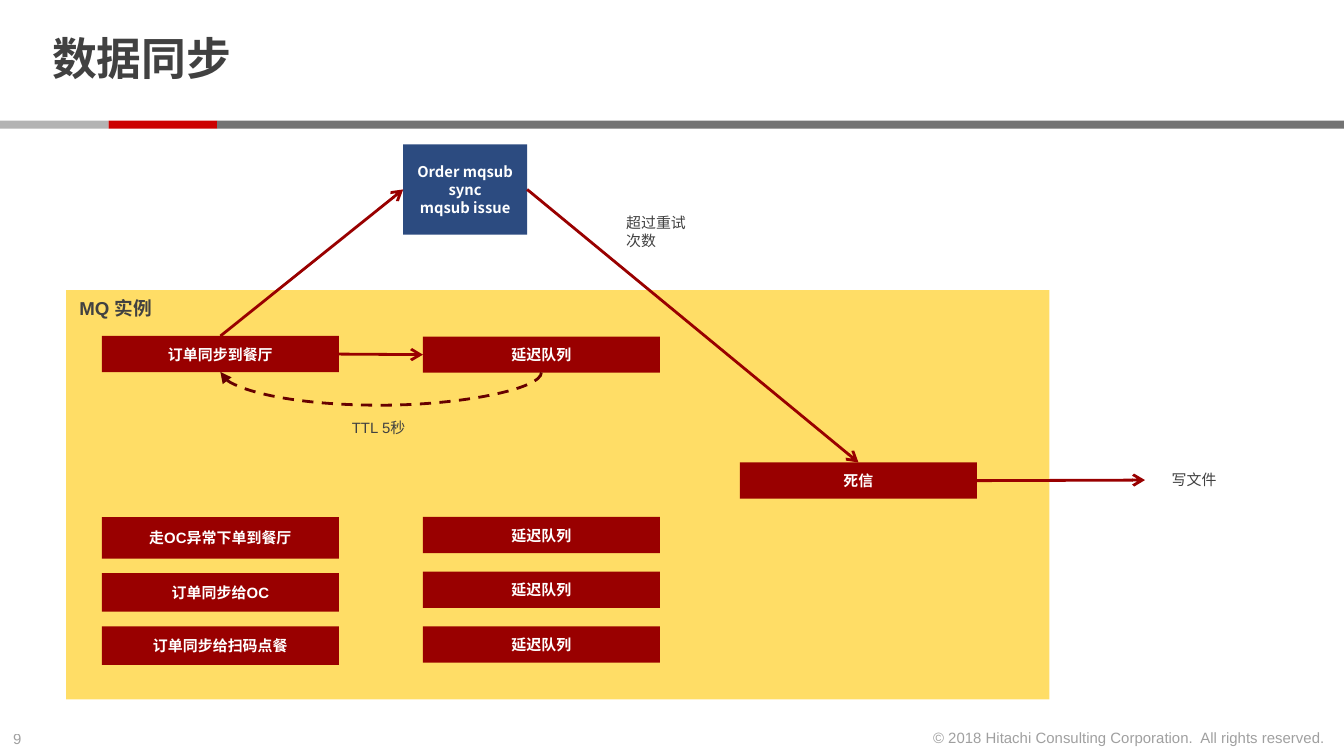
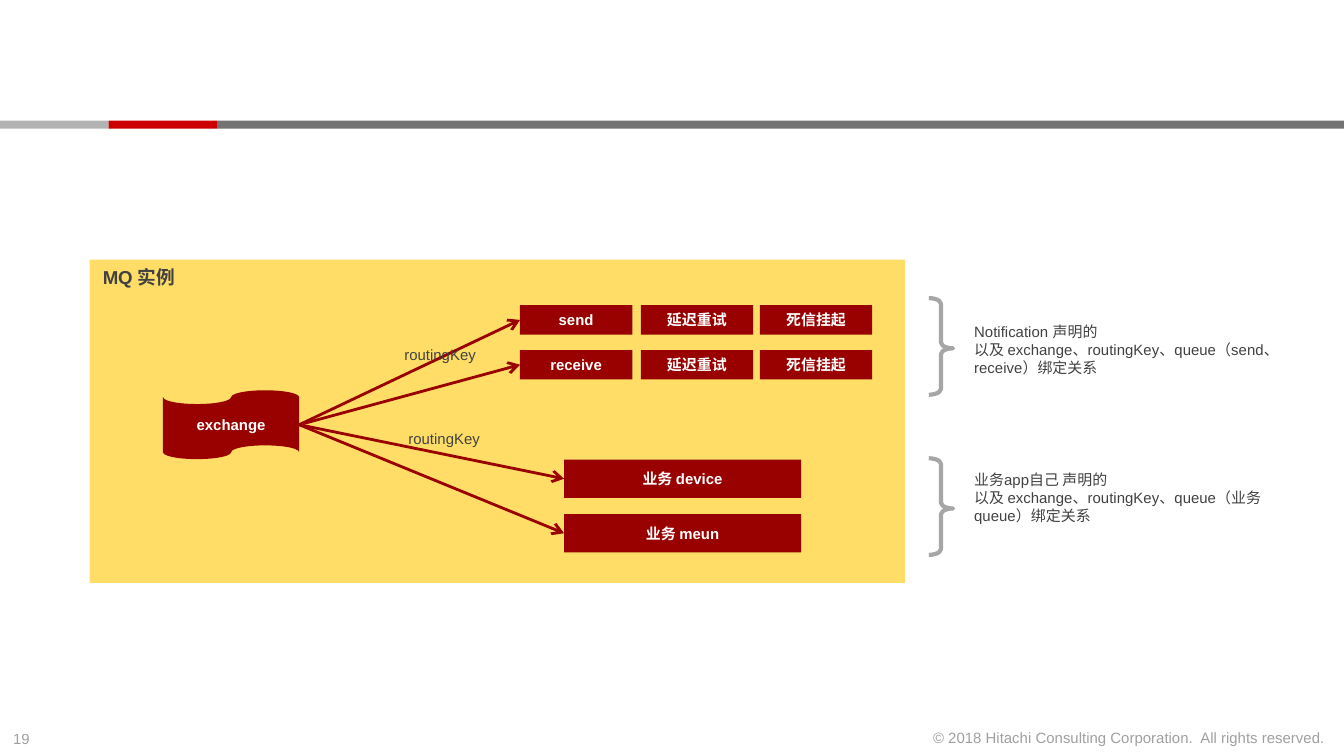
from lxml import etree
from pptx import Presentation
from pptx.dml.color import RGBColor
from pptx.enum.dml import MSO_LINE
from pptx.enum.shapes import MSO_CONNECTOR, MSO_SHAPE
from pptx.enum.text import MSO_ANCHOR, MSO_AUTO_SIZE, PP_ALIGN
from pptx.oxml.ns import qn
from pptx.util import Pt

RECTANGLE = MSO_SHAPE.RECTANGLE
TAPE = MSO_SHAPE.FLOWCHART_PUNCHED_TAPE
BRACE = MSO_SHAPE.RIGHT_BRACE
STRAIGHT, CURVE = MSO_CONNECTOR.STRAIGHT, MSO_CONNECTOR.CURVE
DASH = MSO_LINE.DASH
TOP, MIDDLE = MSO_ANCHOR.TOP, MSO_ANCHOR.MIDDLE
LEFT, CENTER, RIGHT = PP_ALIGN.LEFT, PP_ALIGN.CENTER, PP_ALIGN.RIGHT
FIT_SHAPE = MSO_AUTO_SIZE.SHAPE_TO_FIT_TEXT
TOP_SIDE, LEFT_SIDE, BOTTOM_SIDE, RIGHT_SIDE = range(4)

LATIN, CHINESE = "Arial", "Noto Sans CJK SC"
INK, WHITE = "414141", "FFFFFF"
RED, DARK_RED, BLUE, YELLOW, BRACE_GREY = "990000", "660000", "2C4B80", "FFDD66", "A6A6A6"

SLIDE_WIDTH, SLIDE_HEIGHT = 720, 405
BAND_TOP, BAND_HEIGHT = 64.6, 4.4
BANDS = [("B3B3B3", 0, 58.2), ("CC0000", 58.2, 116.4), ("737373", 116.4, SLIDE_WIDTH)]
COPYRIGHT = "© 2018 Hitachi Consulting Corporation.  All rights reserved."
PANEL_TITLE = "MQ 实例"

QUEUE_WIDTH, QUEUE_HEIGHT, TALL_QUEUE = 127, 19.4, 20.6
QUEUE_X, DELAY_X, DEAD_X = 54.6, 226.6, 396.4
FIRST_ROW = 180
CURVE_SLACK, CURVE_DEPTH = 0.32, 18
OTHER_QUEUES = [
    ("走OC异常下单到餐厅", 277.1, 22.2),
    ("订单同步给OC", 307.1, TALL_QUEUE),
    ("订单同步给扫码点餐", 335.6, TALL_QUEUE),
]
DELAY_TOP, DELAY_STEP = 277, 29.3
SYNC_LABELS = [
    ("TTL 5秒", 181.4, 220.3, 51.1, 17.3),
    ("超过重试次数", 328.3, 110.9, 51.1, 26.6),
    ("写文件", 620.6, 248.4, 43.9, 17.3),
]

NOTICE_X = [278.6, 343.3, 407.1]
NOTICE_ROWS = [
    (163.5, ["send", "延迟重试", "死信挂起"]),
    (187.5, ["receive", "延迟重试", "死信挂起"]),
]
NOTICE_WIDTH, NOTICE_HEIGHT = 60.2, 15.8
BUSINESS_X = 302.2
BUSINESS_QUEUES = [("业务 device", 246.2), ("业务 meun", 275.4)]
ROUTING_LABELS = [
    ("routingKey", 209.5, 181.4, 56.2, 17.3),
    ("routingKey", 211.7, 226.1, 56.2, 17.3),
]
BRACE_TOPS = [159.7, 245.5]
BINDING_NOTES = [
    ("Notification 声明的\n以及 exchange、routingKey、queue（send、receive）绑定关系", 514.8, 169.2, 183.6, 36),
    ("业务app自己 声明的\n以及 exchange、routingKey、queue（业务queue）绑定关系", 514.8, 248.4, 183.6, 36),
]


def color(value):
    return RGBColor.from_string(value)


def box(x, y, width, height):
    return [Pt(value) for value in (x, y, width, height)]


def write(shape, text, size=8, ink=INK, bold=False, align=LEFT, anchor=MIDDLE,
          font=LATIN, opacity=100, wrap=True):
    frame = shape.text_frame
    frame.word_wrap = wrap
    frame.vertical_anchor = anchor
    frame.text = text
    for paragraph in frame.paragraphs:
        paragraph.alignment = align
        for run in paragraph.runs:
            run.font.name, run.font.size, run.font.bold = font, Pt(size), bold
            run.font.color.rgb = color(ink)
            properties = run._r.get_or_add_rPr()
            etree.SubElement(properties, qn("a:ea"), typeface=CHINESE)
            if opacity < 100:
                fill = properties.find(".//" + qn("a:srgbClr"))
                etree.SubElement(fill, qn("a:alpha"), val=str(opacity * 1000))
    return frame


def add_block(slide, x, y, width, height, fill, kind=RECTANGLE):
    shape = slide.shapes.add_shape(kind, *box(x, y, width, height))
    shape.shadow.inherit = False
    shape.fill.solid()
    shape.fill.fore_color.rgb = color(fill)
    shape.line.fill.background()
    return shape


def add_node(slide, text, x, y, width=QUEUE_WIDTH, height=QUEUE_HEIGHT, fill=RED,
             kind=RECTANGLE, **style):
    shape = add_block(slide, x, y, width, height, fill, kind)
    write(shape, text, ink=WHITE, bold=True, align=CENTER, **style)
    return shape


def add_panel(slide, *place):
    write(add_block(slide, *place, YELLOW), PANEL_TITLE, size=10, bold=True, anchor=TOP)


def add_label(slide, text, x, y, width, height, **style):
    shape = slide.shapes.add_textbox(*box(x, y, width, height))
    write(shape, text, **style).auto_size = FIT_SHAPE


def style_connector(connector, line_color, head):
    connector.line.color.rgb = color(line_color)
    connector.line.width = Pt(1.5)
    properties = connector._element.spPr
    etree.SubElement(properties.find(qn("a:ln")), qn("a:tailEnd"), type=head)
    etree.SubElement(properties, qn("a:effectLst"))


def add_arrow(slide, start, start_side, end, end_side):
    connector = slide.shapes.add_connector(STRAIGHT, 0, 0, 0, 0)
    connector.begin_connect(start, start_side)
    connector.end_connect(end, end_side)
    style_connector(connector, RED, "arrow")


def add_open_arrow(slide, start, end_x, end_y):
    connector = slide.shapes.add_connector(STRAIGHT, 0, 0, Pt(end_x), Pt(end_y))
    connector.begin_connect(start, RIGHT_SIDE)
    style_connector(connector, RED, "arrow")


def add_return_curve(slide, start, end):
    connector = slide.shapes.add_connector(CURVE, 0, 0, 0, 0)
    connector.begin_connect(start, BOTTOM_SIDE)
    connector.end_connect(end, BOTTOM_SIDE)
    span = start.left - end.left
    connector.left = end.left + (end.width + span - Pt(CURVE_SLACK)) // 2
    connector.top = end.top + end.height - span // 2
    connector.width, connector.height = Pt(CURVE_SLACK), span
    properties = connector._element.spPr
    transform = properties.find(qn("a:xfrm"))
    for name, value in (("rot", "5400000"), ("flipH", "1"), ("flipV", "0")):
        transform.set(name, value)
    bend = round(-CURVE_DEPTH / CURVE_SLACK * 100000)
    adjustments = properties.find(qn("a:prstGeom")).find(qn("a:avLst"))
    etree.SubElement(adjustments, qn("a:gd"), name="adj1", fmla=f"val {bend}")
    connector.line.dash_style = DASH
    style_connector(connector, DARK_RED, "triangle")


def add_brace(slide, top):
    brace = slide.shapes.add_shape(BRACE, *box(497.6, top, 13, 51.8))
    brace.shadow.inherit = False
    brace.fill.background()
    brace.line.color.rgb = color(BRACE_GREY)
    brace.line.width = Pt(2.25)
    brace.adjustments[0], brace.adjustments[1] = 0.24, 0.52


def add_base_slide(presentation, number, title=None):
    slide = presentation.slides.add_slide(presentation.slide_layouts[6])
    add_label(slide, number, 0, 387.4, 24.5, 17.3, anchor=TOP, opacity=50, wrap=False)
    for fill, start, end in BANDS:
        add_block(slide, start, BAND_TOP, end - start, BAND_HEIGHT, fill)
    add_label(slide, COPYRIGHT, 489.6, 386.6, 227.5, 17.3, anchor=TOP, align=RIGHT,
              opacity=50, wrap=False)
    if title:
        shape = slide.shapes.add_textbox(*box(20.9, 4.3, 555.1, 57.6))
        frame = write(shape, title, size=24, bold=True)
        frame.margin_top = frame.margin_bottom = 0
        frame.paragraphs[0].line_spacing = 0.85
    return slide


def build_sync_slide(presentation):
    slide = add_base_slide(presentation, "9", "数据同步")
    add_panel(slide, 35.5, 155.4, 526.7, 219.4)
    order_queue = add_node(slide, "订单同步到餐厅", QUEUE_X, FIRST_ROW)
    delay_queue = add_node(slide, "延迟队列", DELAY_X, FIRST_ROW + CURVE_SLACK)
    dead_letter = add_node(slide, "死信", DEAD_X, 247.8)
    for row, (name, top, height) in enumerate(OTHER_QUEUES):
        add_node(slide, name, QUEUE_X, top, height=height)
        add_node(slide, "延迟队列", DELAY_X, DELAY_TOP + row * DELAY_STEP)
    subscriber = add_node(slide, "Order mqsub sync\nmqsub issue", 216, 77.3, 66.4, 48.4,
                          fill=BLUE, font=CHINESE, size=7.9)
    add_return_curve(slide, delay_queue, order_queue)
    add_arrow(slide, order_queue, TOP_SIDE, subscriber, LEFT_SIDE)
    add_arrow(slide, order_queue, RIGHT_SIDE, delay_queue, LEFT_SIDE)
    add_arrow(slide, subscriber, RIGHT_SIDE, dead_letter, TOP_SIDE)
    add_open_arrow(slide, dead_letter, 613.4, 257.2)
    for label in SYNC_LABELS:
        add_label(slide, *label)


def build_exchange_slide(presentation):
    slide = add_base_slide(presentation, "19")
    add_panel(slide, 48, 139.1, 437, 173.2)
    exchange = add_node(slide, "exchange", 87.3, 209.1, 73, 36.9, kind=TAPE)
    targets = []
    for top, names in NOTICE_ROWS:
        nodes = [add_node(slide, name, x, top, NOTICE_WIDTH, NOTICE_HEIGHT)
                 for name, x in zip(names, NOTICE_X)]
        targets.append(nodes[0])
    for name, top in BUSINESS_QUEUES:
        targets.append(add_node(slide, name, BUSINESS_X, top, height=TALL_QUEUE))
    for target in targets:
        add_arrow(slide, exchange, RIGHT_SIDE, target, LEFT_SIDE)
    for top in BRACE_TOPS:
        add_brace(slide, top)
    for label in ROUTING_LABELS + BINDING_NOTES:
        add_label(slide, *label)


def main():
    presentation = Presentation()
    presentation.slide_width, presentation.slide_height = Pt(SLIDE_WIDTH), Pt(SLIDE_HEIGHT)
    build_sync_slide(presentation)
    build_exchange_slide(presentation)
    presentation.save("out.pptx")


if __name__ == "__main__":
    main()
